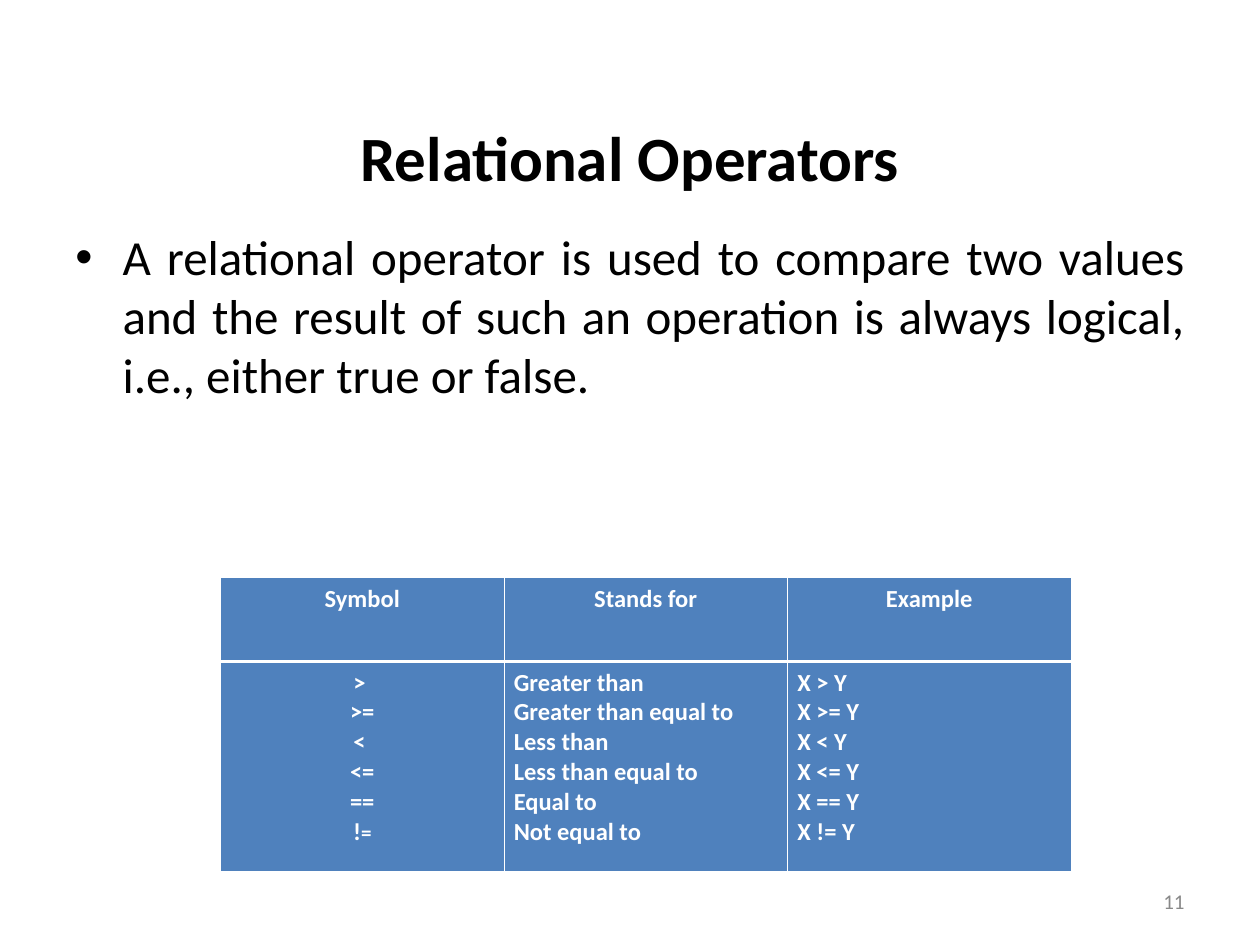
from lxml import etree
from pptx import Presentation
from pptx.dml.color import RGBColor
from pptx.enum.text import MSO_ANCHOR, PP_ALIGN
from pptx.oxml.ns import qn
from pptx.util import Pt

LEFT, CENTER, RIGHT, JUSTIFY = PP_ALIGN.LEFT, PP_ALIGN.CENTER, PP_ALIGN.RIGHT, PP_ALIGN.JUSTIFY
TOP, MIDDLE = MSO_ANCHOR.TOP, MSO_ANCHOR.MIDDLE
WHITE = "FFFFFF"


def style(para, size, color, align, bold=False):
    para.alignment = align
    for span in para.runs:
        span.font.name = "Calibri"
        span.font.size = Pt(size)
        span.font.bold = bold
        span.font.color.rgb = RGBColor.from_string(color)


def add_text(left, top, width, height, text, anchor):
    """Add a wrapping text box and return its frame."""
    box = page.shapes.add_textbox(Pt(left), Pt(top), Pt(width), Pt(height))
    frame = box.text_frame
    frame.word_wrap = True
    frame.vertical_anchor = anchor
    frame.text = text
    return frame


deck = Presentation()
deck.slide_width, deck.slide_height = Pt(720), Pt(540)
page = deck.slides.add_slide(deck.slide_layouts[6])

# Title, set low in its box
title = add_text(36, 21.6, 648, 90, "Relational Operators", TOP)
title.margin_top, title.margin_bottom = Pt(49), 0
style(title.paragraphs[0], 36, "000000", CENTER, bold=True)

# Definition
definition = add_text(
    36, 126, 648, 356.4,
    "A relational operator is used to compare two values and the result of "
    "such an operation is always logical, i.e., either true or false.", TOP)
para = definition.paragraphs[0]
properties = para._p.get_or_add_pPr()
properties.set("marL", str(Pt(27)))
properties.set("indent", str(Pt(-27)))
etree.SubElement(properties, qn("a:buFont"), typeface="Arial")
etree.SubElement(properties, qn("a:buChar"), char="•")
style(para, 28, "000000", JUSTIFY)

# Operator table
headings = ["Symbol", "Stands for", "Example"]
operators = [
    (">", "Greater than"),
    (">=", "Greater than equal to"),
    ("<", "Less than"),
    ("<=", "Less than equal to"),
    ("==", "Equal to"),
    ("!=", "Not equal to"),
]
columns = [
    # a no-break space follows the single-character symbols
    [symbol if len(symbol) == 2 else symbol + " " for symbol, _ in operators],
    [meaning for _, meaning in operators],
    [f"X {symbol} Y" for symbol, _ in operators],
]
table = page.shapes.add_table(2, 3, Pt(126), Pt(330), Pt(486), Pt(168)).table
table.horz_banding = False
for column in table.columns:
    column.width = Pt(162)
for row, height in zip(table.rows, (48, 120)):
    row.height = Pt(height)

for c, (heading, lines) in enumerate(zip(headings, columns)):
    for r, text in enumerate((heading, "\n".join(lines))):
        cell = table.cell(r, c)
        cell.text = text
        cell.margin_left = cell.margin_right = Pt(5.6)
        cell.margin_top = cell.margin_bottom = Pt(3.6)
        cell.fill.solid()
        cell.fill.fore_color.rgb = RGBColor.from_string("4F81BD")
        for para in cell.text_frame.paragraphs:
            style(para, 14, WHITE, CENTER if r == 0 or c == 0 else LEFT, bold=True)

        # The rule between heading and body is thicker than the others
        thick_side = "lnB" if r == 0 else "lnT"
        for place, side in enumerate(("lnL", "lnR", "lnT", "lnB")):
            width = 1.5 if side == thick_side else 0.45
            line = etree.Element(qn("a:" + side), w=str(Pt(width)))
            fill = etree.SubElement(line, qn("a:solidFill"))
            etree.SubElement(fill, qn("a:srgbClr"), val=WHITE)
            cell._tc.get_or_add_tcPr().insert(place, line)

# The equals sign of the last symbol is smaller
last_symbol = table.cell(1, 0).text_frame.paragraphs[-1]
last_symbol.runs[0].text = "!"
last_symbol.add_run().text = "="
style(last_symbol, 14, WHITE, CENTER, bold=True)
last_symbol.runs[1].font.size = Pt(12)

# Page number
number = add_text(516, 500.4, 168, 28.8, "11", MIDDLE)
style(number.paragraphs[0], 12, "898989", RIGHT)

deck.save("out.pptx")
